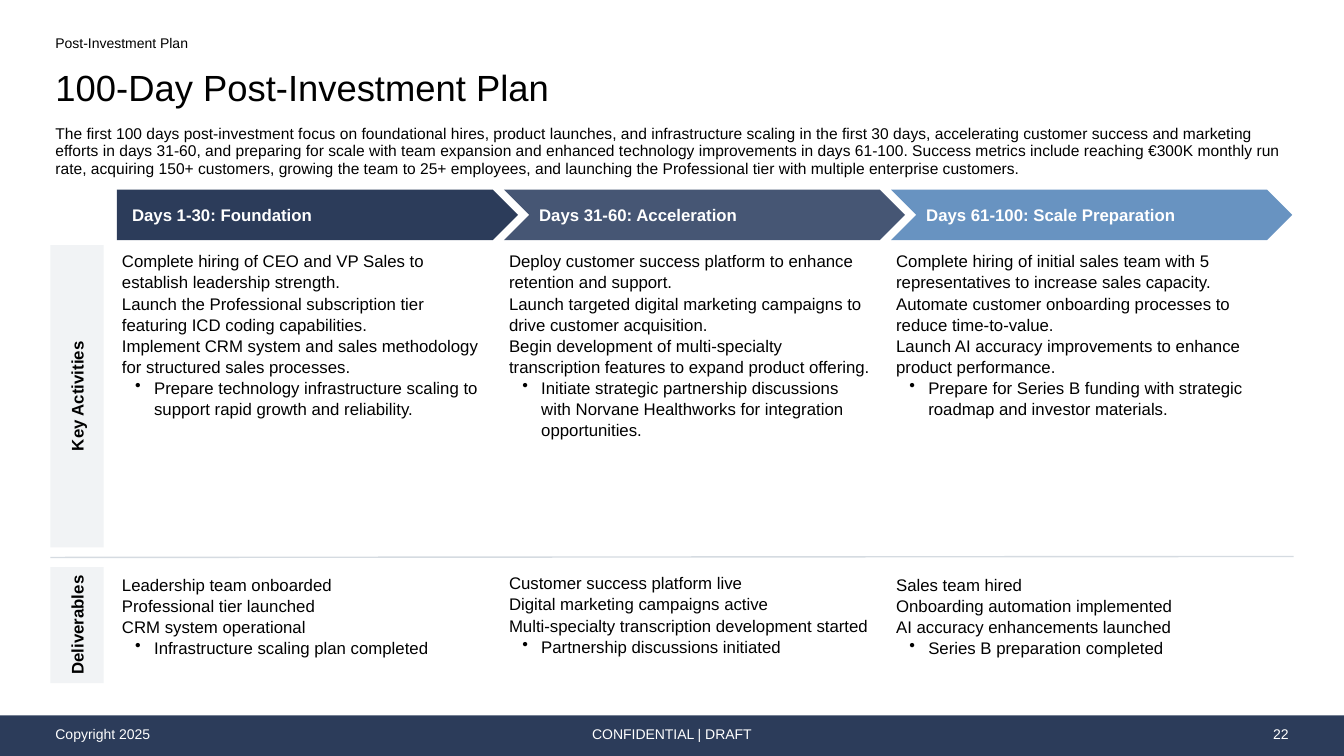
from dataclasses import dataclass

from lxml.etree import SubElement
from pptx import Presentation
from pptx.dml.color import RGBColor
from pptx.enum.shapes import MSO_CONNECTOR, MSO_SHAPE
from pptx.enum.text import MSO_ANCHOR, PP_ALIGN
from pptx.oxml.ns import qn
from pptx.util import Pt

FONT = "Arial"
BLACK, WHITE, NAVY, PALE, RULE = "000000", "FFFFFF", "2C3C5A", "F1F3F5", "D5DBE1"
LEFT, WIDTH = 36, 888
COL_LEFT, COL_PITCH, COL_W = 83.5, 276.5, 267
ACT_TOP, ACT_H = 175, 216
DELIV_H = 83


@dataclass
class Phase:
    title: str
    color: str
    shape: MSO_SHAPE
    inset: float
    activities: list[str]
    deliverables: list[str]
    deliverables_top: float = 406


@dataclass
class RowLabel:
    text: str
    top: float
    height: float


@dataclass
class Caption:
    text: str
    left: float
    width: float
    align: PP_ALIGN


PHASES = [
    Phase("Days 1-30: Foundation", NAVY, MSO_SHAPE.PENTAGON, 10.8, [
        "Complete hiring of CEO and VP Sales to establish leadership strength.",
        "Launch the Professional subscription tier featuring ICD coding capabilities.",
        "Implement CRM system and sales methodology for structured sales processes.",
        "Prepare technology infrastructure scaling to support rapid growth and reliability.",
    ], [
        "Leadership team onboarded",
        "Professional tier launched",
        "CRM system operational",
        "Infrastructure scaling plan completed",
    ]),
    Phase("Days 31-60: Acceleration", "465674", MSO_SHAPE.CHEVRON, 7.2, [
        "Deploy customer success platform to enhance retention and support.",
        "Launch targeted digital marketing campaigns to drive customer acquisition.",
        "Begin development of multi-specialty transcription features to expand product offering.",
        "Initiate strategic partnership discussions with Norvane Healthworks for integration "
        "opportunities.",
    ], [
        "Customer success platform live",
        "Digital marketing campaigns active",
        "Multi-specialty transcription development started",
        "Partnership discussions initiated",
    ], 405),
    Phase("Days 61-100: Scale Preparation", "6893C1", MSO_SHAPE.CHEVRON, 7.2, [
        "Complete hiring of initial sales team with 5 representatives to increase sales capacity.",
        "Automate customer onboarding processes to reduce time-to-value.",
        "Launch AI accuracy improvements to enhance product performance.",
        "Prepare for Series B funding with strategic roadmap and investor materials.",
    ], [
        "Sales team hired",
        "Onboarding automation implemented",
        "AI accuracy enhancements launched",
        "Series B preparation completed",
    ]),
]
ROW_LABELS = [
    RowLabel("Key Activities", ACT_TOP, ACT_H),
    RowLabel("Deliverables", 405, DELIV_H),
]
CAPTIONS = [
    Caption("Copyright 2025", LEFT, 286, PP_ALIGN.LEFT),
    Caption("CONFIDENTIAL | DRAFT", 318, 324, PP_ALIGN.CENTER),
    Caption("22", 708, 216, PP_ALIGN.RIGHT),
]
INTRO = (
    "The first 100 days post-investment focus on foundational hires, product launches, and "
    "infrastructure scaling in the first 30 days, accelerating customer success and marketing "
    "efforts in days 31-60, and preparing for scale with team expansion and enhanced technology "
    "improvements in days 61-100. Success metrics include reaching €300K monthly run rate, "
    "acquiring 150+ customers, growing the team to 25+ employees, and launching the Professional "
    "tier with multiple enterprise customers."
)


def rgb(color: str) -> RGBColor:
    return RGBColor.from_string(color)


def add_bullet(p) -> None:
    pPr = p._p.get_or_add_pPr()
    pPr.set("marL", str(Pt(23)))
    pPr.set("indent", str(-Pt(13.5)))
    SubElement(pPr, qn("a:buChar")).set("char", "•")


def write(sp, lines: list[str], *, size: float = 12, color: str = BLACK, bold: bool = False,
          align: PP_ALIGN = PP_ALIGN.LEFT, anchor: MSO_ANCHOR = MSO_ANCHOR.TOP,
          insets: tuple = (3.6, 3.6, 3.6, 3.6), spacing: float = 1.0,
          bullet_last: bool = False) -> None:
    tf = sp.text_frame
    tf.word_wrap = True
    tf.vertical_anchor = anchor
    tf.margin_left, tf.margin_top, tf.margin_right, tf.margin_bottom = map(Pt, insets)
    for i, line in enumerate(lines):
        p = tf.add_paragraph() if i else tf.paragraphs[0]
        if bullet_last and i == len(lines) - 1:
            add_bullet(p)
        p.alignment = align
        p.line_spacing = spacing
        r = p.add_run()
        r.text = line
        r.font.name = FONT
        r.font.size = Pt(size)
        r.font.bold = bold
        r.font.color.rgb = rgb(color)


def add_text(s, lines: list[str], left: float, top: float, width: float, height: float,
             **fmt) -> None:
    write(s.shapes.add_textbox(Pt(left), Pt(top), Pt(width), Pt(height)), lines, **fmt)


def add_block(s, kind: MSO_SHAPE, left: float, top: float, width: float, height: float,
              color: str):
    sp = s.shapes.add_shape(kind, Pt(left), Pt(top), Pt(width), Pt(height))
    sp.shadow.inherit = False
    sp.fill.solid()
    sp.fill.fore_color.rgb = rgb(color)
    sp.line.fill.background()
    return sp


def add_row_label(s, label: RowLabel) -> None:
    thickness = 38
    left = LEFT + (thickness - label.height) / 2
    top = label.top + (label.height - thickness) / 2
    sp = add_block(s, MSO_SHAPE.RECTANGLE, left, top, label.height, thickness, PALE)
    sp.rotation = 270
    write(sp, [label.text], bold=True, align=PP_ALIGN.CENTER, anchor=MSO_ANCHOR.MIDDLE,
          insets=(1.5, 1.5, 1.5, 1.5))


def add_phase(s, phase: Phase, left: float) -> None:
    sp = add_block(s, phase.shape, left, 135.5, 286.5, 36, phase.color)
    write(sp, [phase.title], color=WHITE, bold=True, anchor=MSO_ANCHOR.MIDDLE,
          insets=(phase.inset, 3.6, 3.6, 3.6))
    add_text(s, phase.activities, left, ACT_TOP, COL_W, ACT_H, spacing=1.05, bullet_last=True)
    add_text(s, phase.deliverables, left, phase.deliverables_top, COL_W, DELIV_H,
             spacing=1.05, bullet_last=True)


def add_divider(s) -> None:
    line = s.shapes.add_connector(MSO_CONNECTOR.STRAIGHT, Pt(LEFT), Pt(398.2),
                                  Pt(LEFT + WIDTH), Pt(397.5))
    line.line.color.rgb = rgb(RULE)
    line.line.width = Pt(1)
    SubElement(line._element.spPr, qn("a:effectLst"))


def main() -> None:
    prs = Presentation()
    prs.slide_width, prs.slide_height = Pt(960), Pt(540)
    s = prs.slides.add_slide(prs.slide_layouts[6])

    add_block(s, MSO_SHAPE.RECTANGLE, 0, 511, 960, 29, NAVY)
    for c in CAPTIONS:
        add_text(s, [c.text], c.left, 514.5, c.width, 20, size=10, color=WHITE,
                 align=c.align, anchor=MSO_ANCHOR.MIDDLE)

    add_text(s, ["Post-Investment Plan"], LEFT, 22.5, WIDTH, 21, size=10, spacing=0.9)
    add_text(s, ["100-Day Post-Investment Plan"], LEFT, 43, WIDTH, 39, size=26, spacing=0.9,
             anchor=MSO_ANCHOR.MIDDLE, insets=(3.6, 3.6, 3.6, 0))
    add_text(s, [INTRO], LEFT, 82, WIDTH, 49, size=11.1, spacing=0.95,
             insets=(3.6, 7.2, 3.6, 3.6))

    for label in ROW_LABELS:
        add_row_label(s, label)
    for i, phase in enumerate(PHASES):
        add_phase(s, phase, COL_LEFT + i * COL_PITCH)
    add_divider(s)

    prs.save("out.pptx")


if __name__ == "__main__":
    main()
